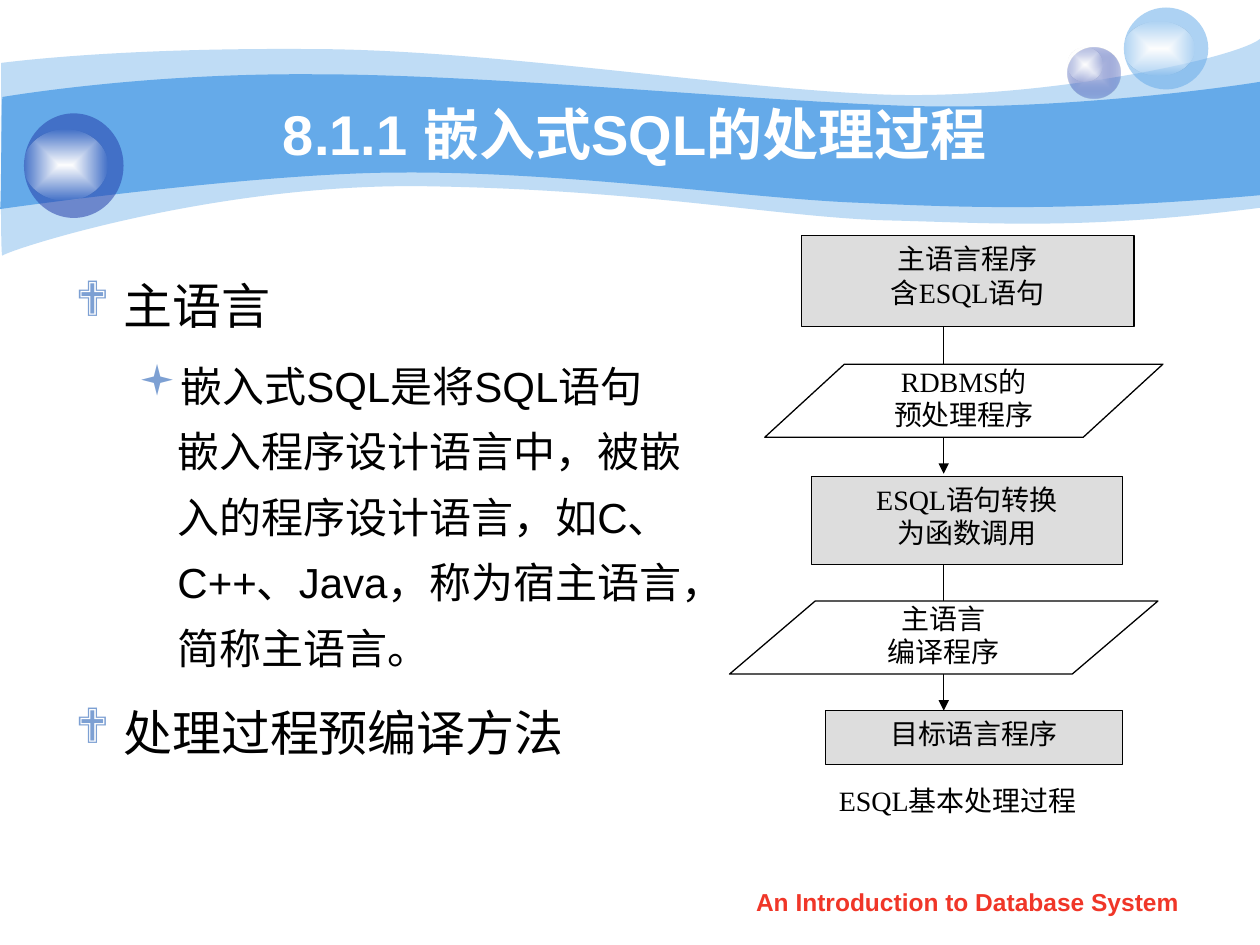
from dataclasses import dataclass

from lxml import etree
from pptx import Presentation
from pptx import util as u
from pptx.dml.color import RGBColor
from pptx.enum import shapes, text
from pptx.oxml import ns, parse_xml

Inches, Pt = u.Inches, u.Pt


@dataclass(frozen=True)
class Theme:
    """Colours, fonts and type sizes of the slide."""
    sky: str = "65AAE9"
    navy: str = "233DA9"
    lavender: str = "C7CEE9"
    bullet: str = "7DA0D3"
    red: str = "F03628"
    grey: str = "DDDDDD"
    black: str = "000000"
    white: str = "FFFFFF"
    sans: str = "Arial"
    serif: str = "Times New Roman"
    symbols: str = "Wingdings"
    title: int = 32
    topic: int = 28
    detail: int = 24
    footer: int = 14
    flow: int = 16


THEME = Theme()
OUTER_WAVE = ((0.01, 0.5), [
    [(0.25, 0.47), (1.08, 0.38), (2.47, 0.39)],
    [(3.86, 0.39), (5.76, 0.7), (6.99, 0.75)],
    [(8.22, 0.8), (9.8, 0.47), (10, 0.31)],
    [(10, 1.65)],
    [(8.58, 1.83), (7.88, 1.77), (7.05, 1.75)],
    [(6.22, 1.73), (5.15, 1.51), (3.44, 1.48)],
    [(1.72, 1.44), (0.05, 1.99), (0.02, 2.03)],
    [(0, 2.08), (0.01, 0.75), (0.01, 0.5)]])
INNER_WAVE = ((0.02, 0.77), [
    [(0.03, 0.77), (1.11, 0.58), (2.49, 0.59)],
    [(3.87, 0.59), (5.96, 0.8), (7.18, 0.84)],
    [(8.41, 0.88), (9.76, 0.69), (10, 0.65)],
    [(10, 1.55)],
    [(8.53, 1.68), (7.66, 1.65), (6.82, 1.61)],
    [(5.99, 1.58), (4.48, 1.36), (3.18, 1.37)],
    [(2.04, 1.37), (-0.01, 1.66), (0, 1.66)],
    [(0.01, 1.66), (0.01, 0.77), (0.02, 0.77)]])


def color(value):
    """Return a colour object for a hex string."""
    return RGBColor.from_string(value)


def set_font(paragraph, size, face, ink, bold=False):
    """Set the font of a whole paragraph."""
    font = paragraph.font
    font.size, font.name, font.bold = Pt(size), face, bold
    font.color.rgb = color(ink)


def fill_solid(shape, value, opacity=100):
    """Give a shape a plain fill of some opacity."""
    shape.fill.solid()
    shape.fill.fore_color.rgb = color(value)
    if opacity < 100:
        tint = shape.fill._xPr.find(".//" + ns.qn("a:srgbClr"))
        etree.SubElement(tint, ns.qn("a:alpha"), val=str(opacity * 1000))


def fill_glow(shape, inner, outer, outer_opacity):
    """Give a shape a gradient running from its centre to its rim."""
    shape.fill.solid()
    solid = shape.fill._xPr.find(ns.qn("a:solidFill"))
    solid.getparent().replace(solid, parse_xml(
        f'<a:gradFill {ns.nsdecls("a")} rotWithShape="1"><a:gsLst>'
        f'<a:gs pos="0"><a:srgbClr val="{inner}"/></a:gs>'
        f'<a:gs pos="100000"><a:srgbClr val="{outer}">'
        f'<a:alpha val="{outer_opacity * 1000}"/></a:srgbClr></a:gs></a:gsLst>'
        '<a:path path="rect"><a:fillToRect l="50000" t="50000" r="50000" b="50000"/>'
        '</a:path></a:gradFill>'))


def add_wave(slide, outline, opacity):
    """Draw one curved band, turning each three-point segment into a curve."""
    start, segments = outline
    emu = [(Inches(x), Inches(y)) for x, y in [start, *sum(segments, [])]]
    builder = slide.shapes.build_freeform(*emu[0])
    builder.add_line_segments(emu[1:], close=True)
    wave = builder.convert_to_shape()
    lines = iter(list(wave._element.iter(ns.qn("a:lnTo"))))
    for segment in segments:
        parts = [next(lines) for _ in segment]
        if len(parts) == 3:
            curve = etree.Element(ns.qn("a:cubicBezTo"))
            parts[0].addprevious(curve)
            for part in parts:
                curve.append(part[0])
                part.getparent().remove(part)
    wave.shadow.inherit = False
    fill_solid(wave, THEME.sky, opacity)
    wave.line.fill.background()


def add_shape(slide, kind, box):
    """Add a preset shape without shadow or outline."""
    shape = slide.shapes.add_shape(kind, *map(Inches, box))
    shape.shadow.inherit = False
    shape.line.fill.background()
    return shape


def add_bubble(slide, box, shine_box, fill, *fill_values):
    """Draw a ball with a white shine on it."""
    oval = shapes.MSO_SHAPE.OVAL
    fill(add_shape(slide, oval, box), *fill_values)
    fill_glow(add_shape(slide, oval, shine_box), THEME.white, THEME.white, 0)


def add_header(slide):
    """Draw the waves and bubbles behind the title."""
    add_wave(slide, OUTER_WAVE, 41)
    add_wave(slide, INNER_WAVE, 100)
    add_bubble(slide, (8.47, 0.38, 0.42, 0.4), (8.47, 0.38, 0.28, 0.27),
               fill_glow, THEME.lavender, THEME.navy, 31)
    add_bubble(slide, (8.92, 0.06, 0.67, 0.65), (8.92, 0.17, 0.56, 0.43),
               fill_solid, THEME.sky, 53)
    add_bubble(slide, (0.19, 0.9, 0.79, 0.83), (0.19, 1.03, 0.66, 0.56),
               fill_solid, THEME.navy, 53)


def add_heading(slide, box, wording, size, ink):
    """Place one bold centred line in a box."""
    frame = slide.shapes.add_textbox(*map(Inches, box)).text_frame
    frame.word_wrap = True
    frame.vertical_anchor = text.MSO_ANCHOR.MIDDLE
    paragraph = frame.paragraphs[0]
    paragraph.text = wording
    paragraph.alignment = text.PP_ALIGN.CENTER
    set_font(paragraph, size, THEME.sans, ink, True)


def add_outline(slide, box, items):
    """Place the two-level bulleted text; each item is level and wording."""
    styles = [("❖", 0.38, 0.38, THEME.topic, 7), ("▪", 0.81, 0.31, THEME.detail, 6)]
    frame = slide.shapes.add_textbox(*map(Inches, box)).text_frame
    frame.word_wrap = True
    for index, (level, wording) in enumerate(items):
        paragraph = frame.add_paragraph() if index else frame.paragraphs[0]
        mark, margin, hanging, size, gap = styles[level]
        paragraph.text, paragraph.level = wording, level
        paragraph.line_spacing = 1.3
        paragraph.space_before = Pt(gap if index else 0)
        properties = paragraph._p.get_or_add_pPr()
        properties.set("marL", str(Inches(margin)))
        properties.set("indent", str(-Inches(hanging)))
        tint = etree.SubElement(properties, ns.qn("a:buClr"))
        etree.SubElement(tint, ns.qn("a:srgbClr"), val=THEME.bullet)
        etree.SubElement(properties, ns.qn("a:buFont"), typeface=THEME.symbols)
        etree.SubElement(properties, ns.qn("a:buChar"), char=mark)
        set_font(paragraph, size, THEME.sans, THEME.black)


def add_arrow(slide, x, top, bottom):
    """Draw a downward arrow."""
    arrow = slide.shapes.add_connector(
        shapes.MSO_CONNECTOR.STRAIGHT, *map(Inches, (x, top, x, bottom)))
    arrow.line.color.rgb = color(THEME.black)
    arrow.line.width = Pt(0.75)
    etree.SubElement(arrow.line._get_or_add_ln(), ns.qn("a:tailEnd"), type="triangle")
    etree.SubElement(arrow._element.spPr, ns.qn("a:effectLst"))


def add_step(slide, kind, box, lines, fill, margins, outlined=True):
    """Draw one labelled step of the flow chart."""
    step = add_shape(slide, kind, box)
    fill_solid(step, fill)
    if outlined:
        step.line.color.rgb = color(THEME.black)
        step.line.width = Pt(0.75)
    frame = step.text_frame
    frame.word_wrap = True
    frame.vertical_anchor = text.MSO_ANCHOR.TOP
    frame.margin_left = frame.margin_right = Inches(margins[0])
    frame.margin_top = frame.margin_bottom = Inches(margins[1])
    for index, line in enumerate(lines):
        paragraph = frame.add_paragraph() if index else frame.paragraphs[0]
        paragraph.text = line
        paragraph.alignment = text.PP_ALIGN.CENTER
        set_font(paragraph, THEME.flow, THEME.serif, THEME.black)


def add_flow_chart(slide, left, top):
    """Draw the processing steps from a top left corner."""
    kinds = shapes.MSO_SHAPE
    data = (kinds.FLOWCHART_PROCESS, THEME.grey, (0.1, 0.05))
    program = (kinds.FLOWCHART_DATA, THEME.white, (0.04, 0))
    caption = (kinds.RECTANGLE, THEME.white, (0.04, 0), False)
    steps = [
        (data, (0.6, 0, 2.64, 0.72), ["主语言程序", "含ESQL语句"]),
        (program, (0.31, 1.02, 3.16, 0.58), ["RDBMS的", "预处理程序"]),
        (data, (0.68, 1.91, 2.47, 0.7), ["ESQL语句转换", "为函数调用"]),
        (program, (0.03, 2.9, 3.4, 0.58), ["主语言", "编译程序"]),
        (data, (0.79, 3.77, 2.36, 0.43), ["目标语言程序"]),
        (caption, (0, 4.35, 3.68, 0.28), ["ESQL基本处理过程"])]
    for start, end in ((2.47, 3.77), (0.58, 1.89)):
        add_arrow(slide, left + 1.73, top + start, top + end)
    for (kind, *style), (x, y, width, height), lines in steps:
        add_step(slide, kind, (left + x, top + y, width, height), lines, *style)


def main():
    """Build and save the slide."""
    presentation = Presentation()
    presentation.slide_width, presentation.slide_height = Inches(10), Inches(7.5)
    slide = presentation.slides.add_slide(presentation.slide_layouts[6])
    add_header(slide)
    add_heading(slide, (5.71, 6.98, 3.94, 0.35), "An Introduction to Database System",
                THEME.footer, THEME.red)
    add_heading(slide, (1, 0.75, 8.08, 0.62), "8.1.1 嵌入式SQL的处理过程",
                THEME.title, THEME.white)
    add_outline(slide, (0.5, 2, 5.01, 4.92), [
        (0, "主语言"),
        (1, "嵌入式SQL是将SQL语句嵌入程序设计语言中，被嵌入的程序设计语言，"
            "如C、C++、Java，称为宿主语言，简称主语言。"),
        (0, "处理过程预编译方法")])
    add_flow_chart(slide, 5.76, 1.87)
    presentation.save("out.pptx")


if __name__ == "__main__":
    main()
